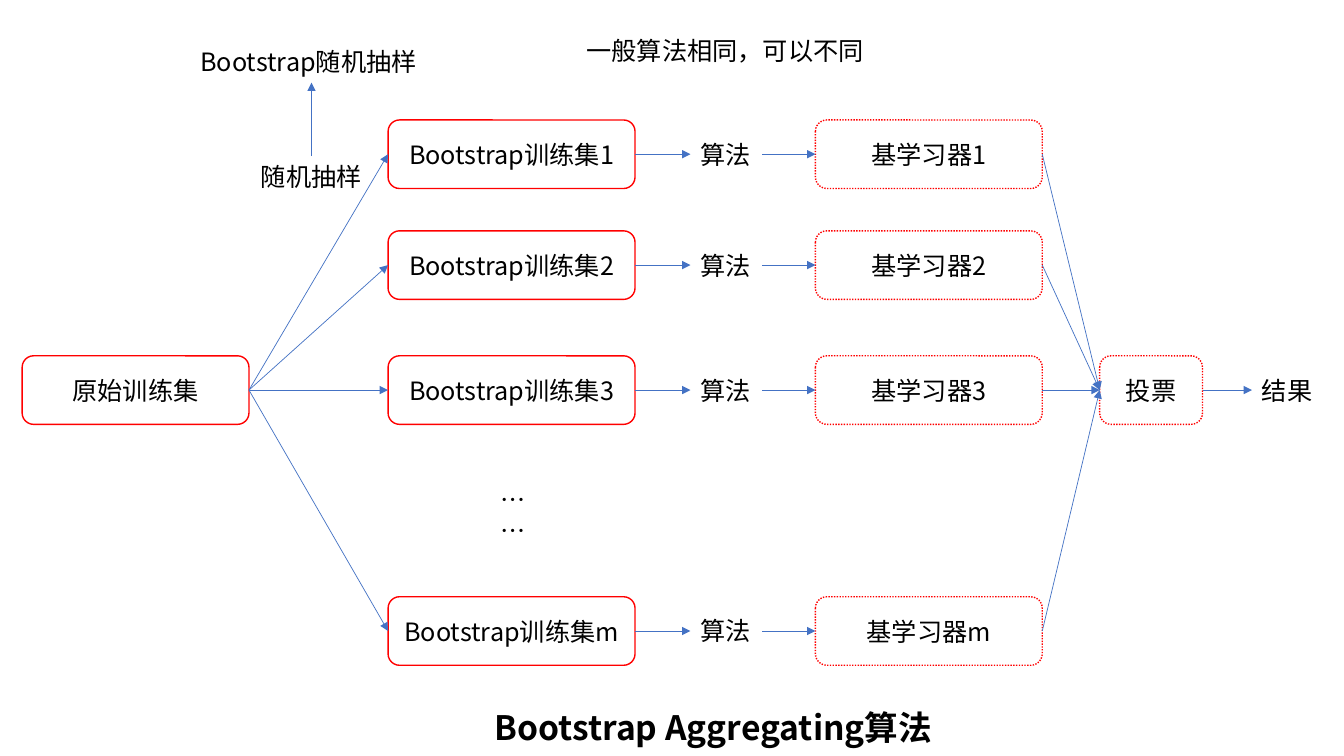
from dataclasses import dataclass

from lxml import etree
from pptx import Presentation
from pptx.dml.color import RGBColor
from pptx.enum.dml import MSO_LINE
from pptx.enum.shapes import MSO_CONNECTOR, MSO_SHAPE
from pptx.enum.text import MSO_ANCHOR, MSO_AUTO_SIZE, PP_ALIGN
from pptx.oxml.ns import qn
from pptx.util import Inches, Pt

ROUNDED = MSO_SHAPE.ROUNDED_RECTANGLE
STRAIGHT = MSO_CONNECTOR.STRAIGHT
DOTTED = MSO_LINE.ROUND_DOT
MIDDLE = MSO_ANCHOR.MIDDLE
CENTER = PP_ALIGN.CENTER
LEFT = PP_ALIGN.LEFT
GROW = MSO_AUTO_SIZE.SHAPE_TO_FIT_TEXT
LEFT_SITE, RIGHT_SITE = 1, 3
COLUMNS, ROWS = 40, 30
BOX_ROWS, LABEL_ROWS, TITLE_ROWS = 2.72, 1.6, 2


@dataclass(frozen=True)
class Theme:
    """Colours, font and sizes of the diagram."""
    text: RGBColor = RGBColor(0, 0, 0)
    border: RGBColor = RGBColor(0xFF, 0, 0)
    arrow: RGBColor = RGBColor(0x44, 0x72, 0xC4)
    font: str = "Noto Sans CJK SC"
    body: Pt = Pt(18)
    title: Pt = Pt(24)
    border_width: Pt = Pt(1)
    arrow_width: Pt = Pt(0.5)


class Diagram:
    """Draws boxes, labels and arrows on a grid over one slide."""

    def __init__(self, deck, theme):
        """Add a blank slide and measure its grid."""
        self.theme = theme
        self.shapes = deck.slides.add_slide(deck.slide_layouts[6]).shapes
        self.column = deck.slide_width / COLUMNS
        self.row = deck.slide_height / ROWS

    def point(self, column, row):
        """Turn a grid position into slide units."""
        return round(column * self.column), round(row * self.row)

    def frame(self, column, middle, width, height):
        """Return left, top, width and height around a middle row."""
        return *self.point(column, middle - height / 2), *self.point(width, height)

    def set_wording(self, shape, wording, size, align, bold=False):
        """Put formatted wording into a shape."""
        shape.text_frame.text = wording
        shape.text_frame.word_wrap = True
        for paragraph in shape.text_frame.paragraphs:
            paragraph.alignment = align
            for run in paragraph.runs:
                run.font.name = self.theme.font
                run.font.size = size
                run.font.bold = bold
                run.font.color.rgb = self.theme.text
                east_asian = etree.SubElement(run.font._element, qn("a:ea"))
                east_asian.set("typeface", self.theme.font)

    def box(self, wording, column, middle, width, dotted=False):
        """Draw a rounded box with centred wording."""
        shape = self.shapes.add_shape(
            ROUNDED, *self.frame(column, middle, width, BOX_ROWS))
        shape.shadow.inherit = False
        shape.fill.background()
        shape.line.color.rgb = self.theme.border
        shape.line.width = self.theme.border_width
        if dotted:
            shape.line.dash_style = DOTTED
        shape.text_frame.vertical_anchor = MIDDLE
        self.set_wording(shape, wording, self.theme.body, CENTER)
        return shape

    def label(self, wording, column, middle, width):
        """Draw a plain label."""
        shape = self.shapes.add_textbox(
            *self.frame(column, middle, width, LABEL_ROWS))
        self.set_wording(shape, wording, self.theme.body, LEFT)
        shape.text_frame.auto_size = GROW
        return shape

    def title(self, wording, column, middle, width):
        """Draw the bold title."""
        shape = self.shapes.add_textbox(
            *self.frame(column, middle, width, TITLE_ROWS))
        self.set_wording(shape, wording, self.theme.title, LEFT, bold=True)
        shape.text_frame.auto_size = GROW

    def arrow(self, start, end):
        """Draw an arrow between two points in slide units."""
        connector = self.shapes.add_connector(STRAIGHT, *start, *end)
        connector.line.color.rgb = self.theme.arrow
        connector.line.width = self.theme.arrow_width
        line = connector.line._get_or_add_ln()
        etree.SubElement(line, qn("a:tailEnd")).set("type", "triangle")
        etree.SubElement(connector._element.spPr, qn("a:effectLst"))
        return connector

    def link(self, source, target):
        """Join the right side of one shape to the left side of another."""
        connector = self.arrow(
            (source.left + source.width, source.top + source.height // 2),
            (target.left, target.top + target.height // 2))
        connector.begin_connect(source, RIGHT_SITE)
        connector.end_connect(target, LEFT_SITE)


def main():
    """Build the bagging diagram."""
    deck = Presentation()
    deck.slide_width, deck.slide_height = Inches(13.33), Inches(7.5)
    diagram = Diagram(deck, Theme())

    branches = {"1": 6.12, "2": 10.52, "3": 15.48, "m": 25.04}
    main_row = branches["3"]
    original_set = diagram.box("原始训练集", 0.66, main_row, 6.75)
    vote = diagram.box("投票", 32.73, main_row, 3.06, dotted=True)
    result = diagram.label("结果", 37.26, main_row, 2.13)
    diagram.link(vote, result)

    for number, middle in branches.items():
        stages = [
            original_set,
            diagram.box(f"Bootstrap训练集{number}", 11.55, middle, 7.35),
            diagram.label("算法", 20.55, middle, 2.13),
            diagram.box(f"基学习器{number}", 24.27, middle, 6.75, dotted=True),
            vote,
        ]
        for source, target in zip(stages, stages[1:]):
            diagram.link(source, target)

    diagram.label("……", 14.61, 19.84, 1.83)
    diagram.label("随机抽样", 7.47, 7, 3.63)
    diagram.label("Bootstrap随机抽样", 5.67, 2.44, 7.2)
    diagram.arrow(diagram.point(9.27, 6.2), diagram.point(9.27, 3.28))
    diagram.label("一般算法相同，可以不同", 17.16, 2, 8.94)
    diagram.title("Bootstrap Aggregating算法", 14.43, 28.84, 14.37)
    deck.save("out.pptx")


main()
